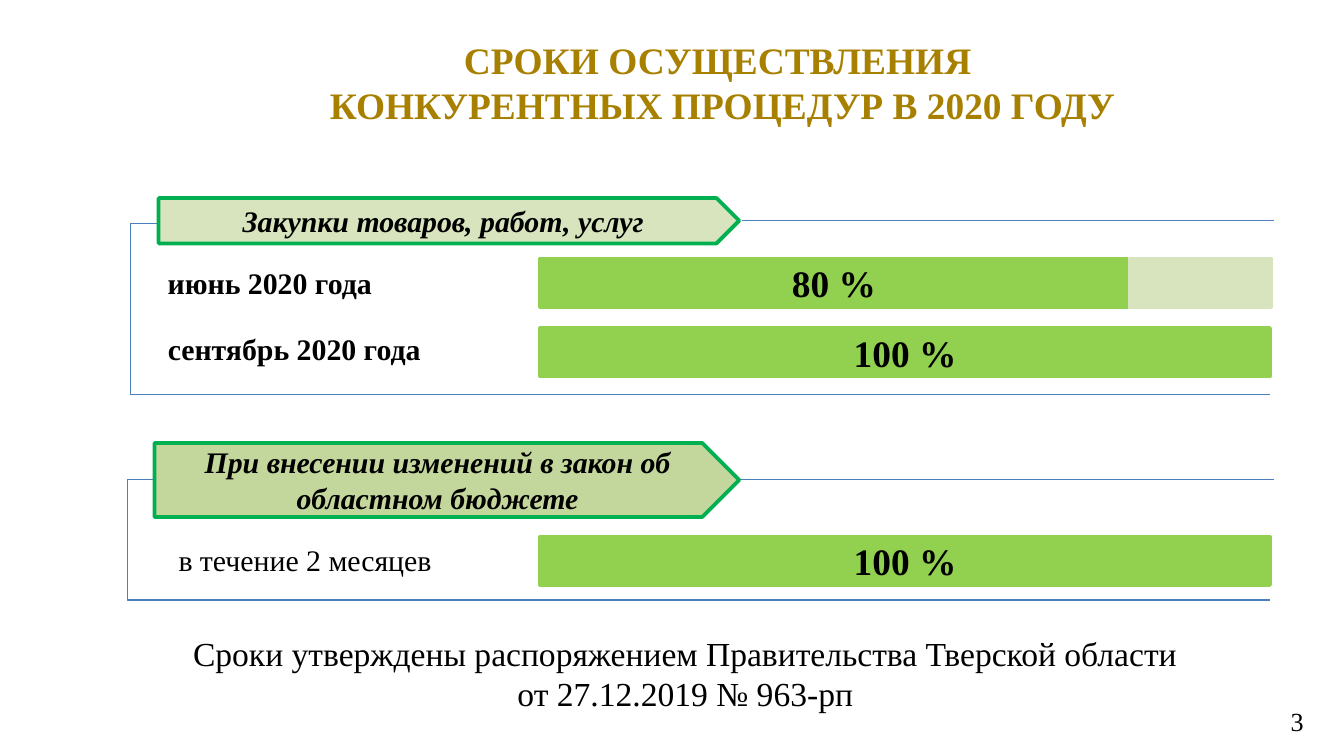
"""Build the slide on the 2020 schedule of competitive procedures."""
from lxml import etree
from pptx import Presentation
from pptx import util as u
from pptx.dml import color
from pptx.enum import shapes, text
from pptx.oxml import ns


def paint(fill, tone):
    fill.solid()
    fill.fore_color.rgb = color.RGBColor.from_string(tone)


def write(box, words, size, bold=False, italic=False, tone="000000",
          align="CENTER", anchor="MIDDLE", wrap=True, inset=(0.1, 0.05)):
    frame = box.text_frame
    frame.auto_size = text.MSO_AUTO_SIZE.NONE
    frame.word_wrap = wrap
    frame.vertical_anchor = text.MSO_ANCHOR[anchor]
    frame.margin_left = frame.margin_right = u.Inches(inset[0])
    frame.margin_top = frame.margin_bottom = u.Inches(inset[1])
    para = frame.paragraphs[0]
    para.text = words
    para.alignment = text.PP_ALIGN[align]
    for span in para.runs:
        span.font.name = "Times New Roman"
        span.font.size = u.Pt(size)
        span.font.bold, span.font.italic = bold, italic
        paint(span.font.fill, tone)


deck = Presentation()
deck.slide_width, deck.slide_height = u.Inches(10), u.Inches(5.625)
column, row = deck.slide_width // 1000, deck.slide_height // 500
page = deck.slides.add_slide(deck.slide_layouts[5])

title = page.shapes.title
title.left, title.top = 115 * column, 21 * row
title.width, title.height = 845 * column, 38 * row
write(title, "СРОКИ ОСУЩЕСТВЛЕНИЯ \vКОНКУРЕНТНЫХ ПРОЦЕДУР В 2020 ГОДУ", 20,
      bold=True, tone="A88000", anchor="TOP", inset=(0.07, 0.04))

bar_left, bar_height, right = 402, 32, 945
elbow, straight = shapes.MSO_CONNECTOR.ELBOW, shapes.MSO_CONNECTOR.STRAIGHT
for kind, left, top, end, bottom in [
    (straight, 552, 146, 948, 146),
    (straight, 549, 317, 948, 317),
    (elbow, 117, 148, right, 261),
    (elbow, 115, 317, right, 397),
]:
    line = page.shapes.add_connector(
        kind, left * column, top * row, end * column, bottom * row)
    paint(line.line.fill, "4B7EBC")
    line.line.width = u.Pt(0.75)
    etree.SubElement(line._element.spPr, ns.qn("a:effectLst"))
    if kind == elbow:
        guides = line._element.spPr.prstGeom.get_or_add_avLst()
        etree.SubElement(guides, ns.qn("a:gd"), name="adj1", fmla="val -2400")

plate, bar = shapes.MSO_SHAPE.PENTAGON, shapes.MSO_SHAPE.RECTANGLE
for kind, left, top, width, height, fill, edge, words in [
    (plate, 118, 131, 432, 30, "D7E4BD", "00B050", "Закупки товаров, работ, услуг"),
    (plate, 115, 293, 435, 49, "C3D69B", "00B050",
     "При внесении изменений в закон об областном бюджете"),
    (bar, bar_left, 171, 437, bar_height, "92D050", "92D050", "80 %"),
    (bar, 841, 171, 105, bar_height, "D7E4BD", "D7E4BD", ""),
    (bar, bar_left, 217, right - bar_left, bar_height, "92D050", "92D050", "100 %"),
    (bar, bar_left, 355, right - bar_left, bar_height, "92D050", "92D050", "100 %"),
]:
    box = page.shapes.add_shape(
        kind, left * column, top * row, width * column, height * row)
    box.shadow.inherit = False
    paint(box.fill, fill)
    paint(box.line.fill, edge)
    box.line.width = u.Pt(2)
    if words:
        write(box, words, 16 if kind == plate else 20, bold=True, italic=kind == plate)

label = dict(size=16, align="LEFT", anchor="TOP", wrap=False)
for left, top, width, height, words, style in [
    (115, 171, 174, 33, "июнь 2020 года", dict(label, bold=True)),
    (115, 214, 211, 33, "сентябрь 2020 года", dict(label, bold=True)),
    (123, 354, 211, 33, "в течение 2 месяцев", label),
    (130, 414, 760, 63,
     "Сроки утверждены распоряжением Правительства Тверской области\v"
     "от 27.12.2019 № 963-рп", dict(size=18, anchor="TOP", wrap=False)),
    (923, 462, 54, 30, "3", dict(size=14, align="RIGHT", inset=(0.07, 0.04))),
]:
    box = page.shapes.add_textbox(
        left * column, top * row, width * column, height * row)
    write(box, words, **style)

deck.save("out.pptx")
